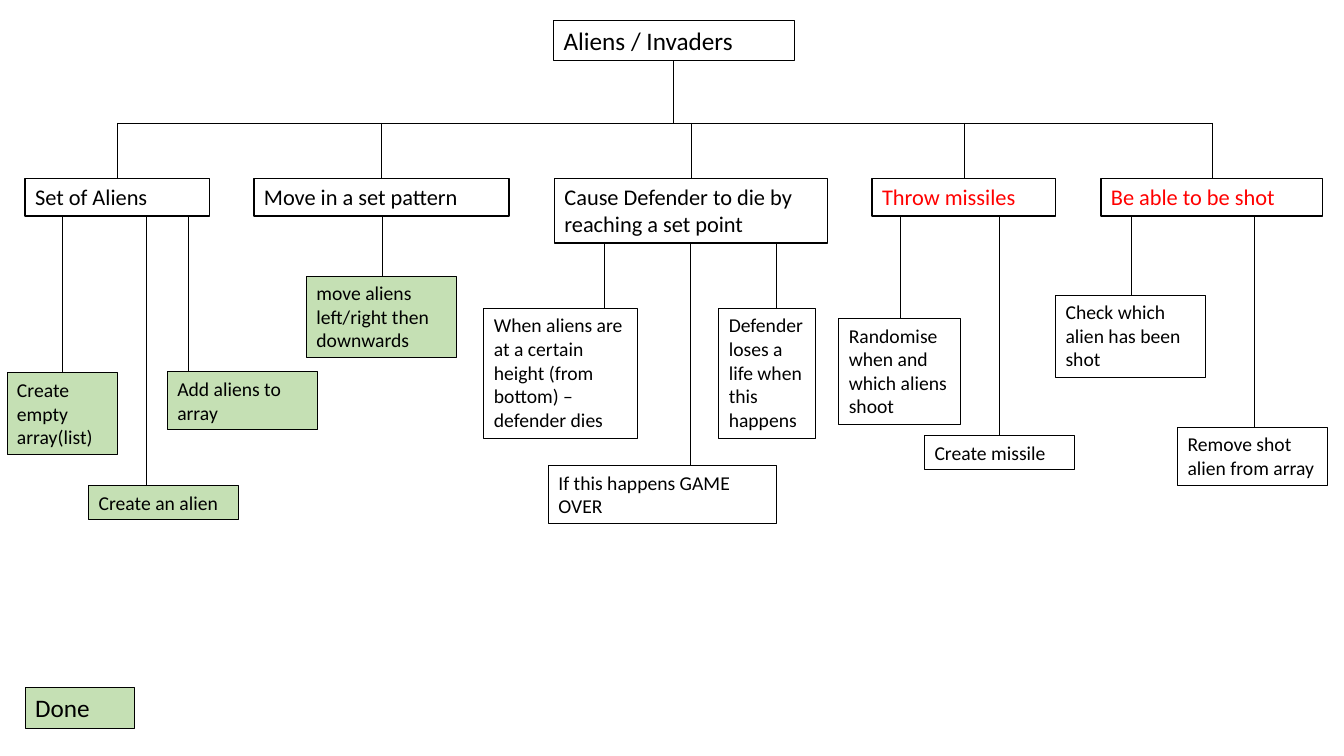
from lxml import etree
from pptx import Presentation
from pptx.dml.color import RGBColor
from pptx.enum.shapes import MSO_CONNECTOR
from pptx.enum.text import MSO_ANCHOR, MSO_AUTO_SIZE, PP_ALIGN
from pptx.oxml.ns import qn
from pptx.util import Inches, Pt

STRAIGHT = MSO_CONNECTOR.STRAIGHT
TOP = MSO_ANCHOR.TOP
LEFT = PP_ALIGN.LEFT
GROW = MSO_AUTO_SIZE.SHAPE_TO_FIT_TEXT
FIXED = MSO_AUTO_SIZE.NONE
COLORS = {"ink": "000000", "paper": "FFFFFF", "done": "C5E0B4", "todo": "FF0000"}


class Chart:
    font = "Calibri"

    def __init__(self, slide):
        self.slide = slide

    def color(self, name):
        return RGBColor.from_string(COLORS[name])

    def height(self, rows, size):
        return 0.1 + rows * size * 1.22 / 72

    def style(self, shape, text, size, fill=None, ink="ink", edge=0.75, fit=GROW):
        if fill:
            shape.fill.solid()
            shape.fill.fore_color.rgb = self.color(fill)
        shape.line.color.rgb = self.color("ink")
        shape.line.width = Pt(edge)
        frame = shape.text_frame
        frame.text = text
        frame.word_wrap = True
        frame.auto_size = fit
        frame.vertical_anchor = TOP
        para = frame.paragraphs[0]
        para.alignment = LEFT
        para.font.name = self.font
        para.font.size = Pt(size)
        para.font.color.rgb = self.color(ink)

    def title(self, text, left, top, width, size):
        shape = self.slide.shapes.title
        shape.left, shape.top = Inches(left), Inches(top)
        shape.width = Inches(width)
        shape.height = Inches(self.height(1, size))
        self.style(shape, text, size, fit=FIXED)

    def box(self, text, left, top, width, rows, size, **look):
        tall = self.height(rows, size)
        shape = self.slide.shapes.add_textbox(
            Inches(left), Inches(top), Inches(width), Inches(tall))
        self.style(shape, text, size, **look)
        return top + tall

    def line(self, x1, y1, x2, y2):
        link = self.slide.shapes.add_connector(
            STRAIGHT, Inches(x1), Inches(y1), Inches(x2), Inches(y2))
        link.line.color.rgb = self.color("ink")
        link.line.width = Pt(0.5)
        etree.SubElement(link._element.spPr, qn("a:effectLst"))


TOPICS = [
    ("Set of Aliens", 0.25, 1.83, 1, "ink", [
        ("Create empty array(list)", 0.07, 3.7, 1.1, 3, 0.62, "done"),
        ("Add aliens to array", 1.66, 3.69, 1.49, 2, 1.87, "done"),
        ("Create an alien", 0.88, 4.82, 1.49, 1, 1.45, "done")]),
    ("Move in a set pattern", 2.52, 2.53, 1, "ink", [
        ("move aliens left/right then downwards", 3.04, 2.74, 1.49, 3, 3.79, "done")]),
    ("Cause Defender to die by reaching a set point", 5.5, 2.71, 2, "ink", [
        ("When aliens are at a certain height (from bottom) – defender dies",
         4.8, 3.06, 1.52, 5, 5.99, None),
        ("Defender loses a life when this happens", 7.13, 3.06, 0.96, 5, 7.7, None),
        ("If this happens GAME OVER", 5.44, 4.62, 2.26, 2, 6.85, None)]),
    ("Throw missiles", 8.65, 1.82, 1, "todo", [
        ("Randomise when and which aliens shoot", 8.32, 3.16, 1.21, 4, 8.93, None),
        ("Create missile", 9.17, 4.32, 1.49, 1, 9.91, None)]),
    ("Be able to be shot", 10.92, 2.2, 1, "todo", [
        ("Check which alien has been shot", 10.47, 2.93, 1.49, 3, 11.22, None),
        ("Remove shot alien from array", 11.68, 4.24, 1.49, 2, 12.44, None)]),
]
BUS, ROW = 1.22, 1.77

deck = Presentation()
deck.slide_width, deck.slide_height = Inches(13.33), Inches(7.5)
chart = Chart(deck.slides.add_slide(deck.slide_layouts[5]))

chart.title("Aliens / Invaders", 5.49, 0.2, 2.39, 18)
chart.line(6.68, 0.61, 6.68, BUS)
mids = [left + width / 2 for _, left, width, *_ in TOPICS]
chart.line(mids[0], BUS, mids[-1], BUS)

for mid, (text, left, width, rows, ink, tasks) in zip(mids, TOPICS):
    chart.line(mid, BUS, mid, ROW)
    base = chart.box(text, left, ROW, width, rows, 16, fill="paper", ink=ink, edge=1)
    for task, x, y, wide, count, stem, fill in tasks:
        chart.line(stem, base, stem, y)
        chart.box(task, x, y, wide, count, 14, fill=fill)

chart.box("Done", 0.25, 6.82, 1.08, 1, 18, fill="done")
deck.save("out.pptx")
